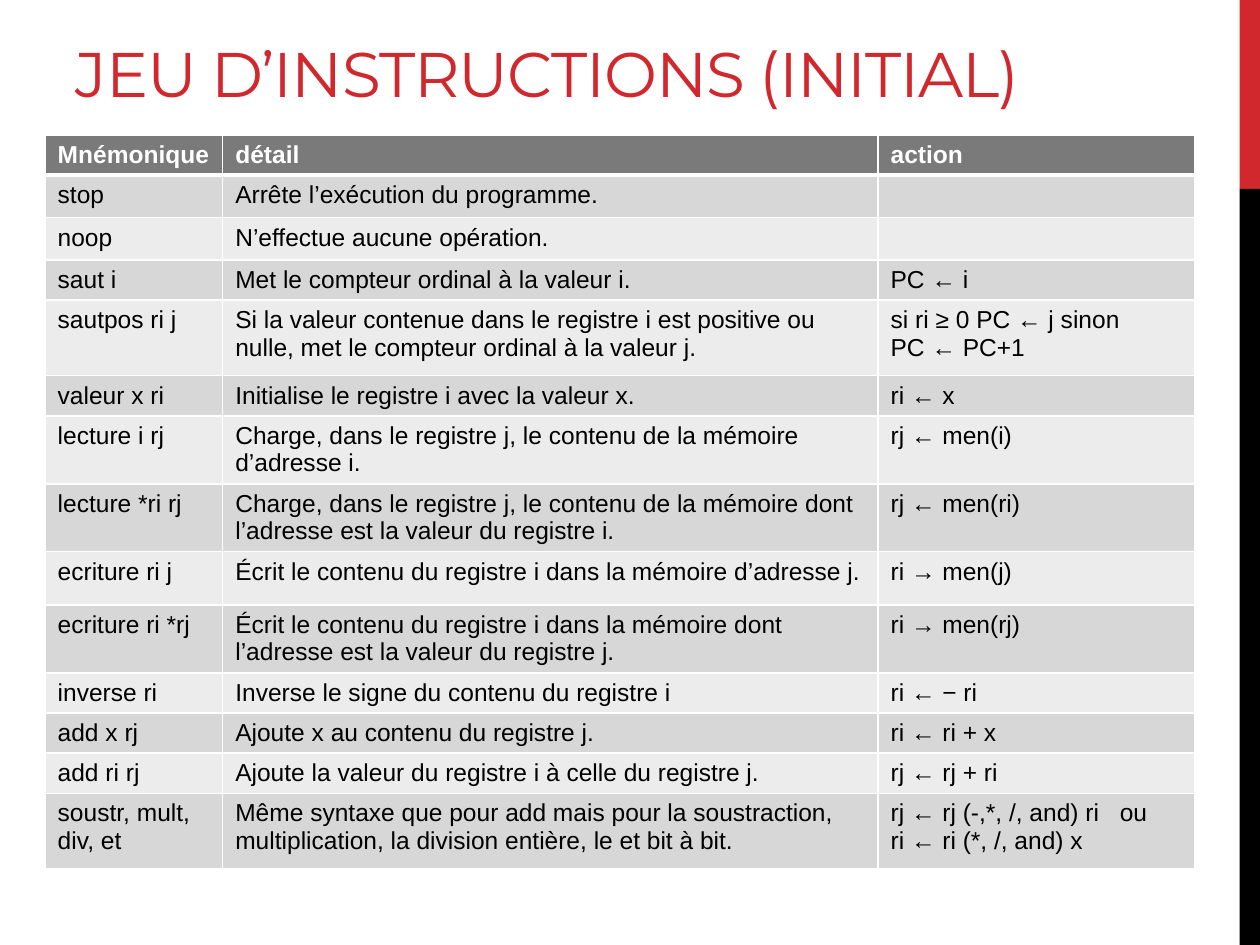
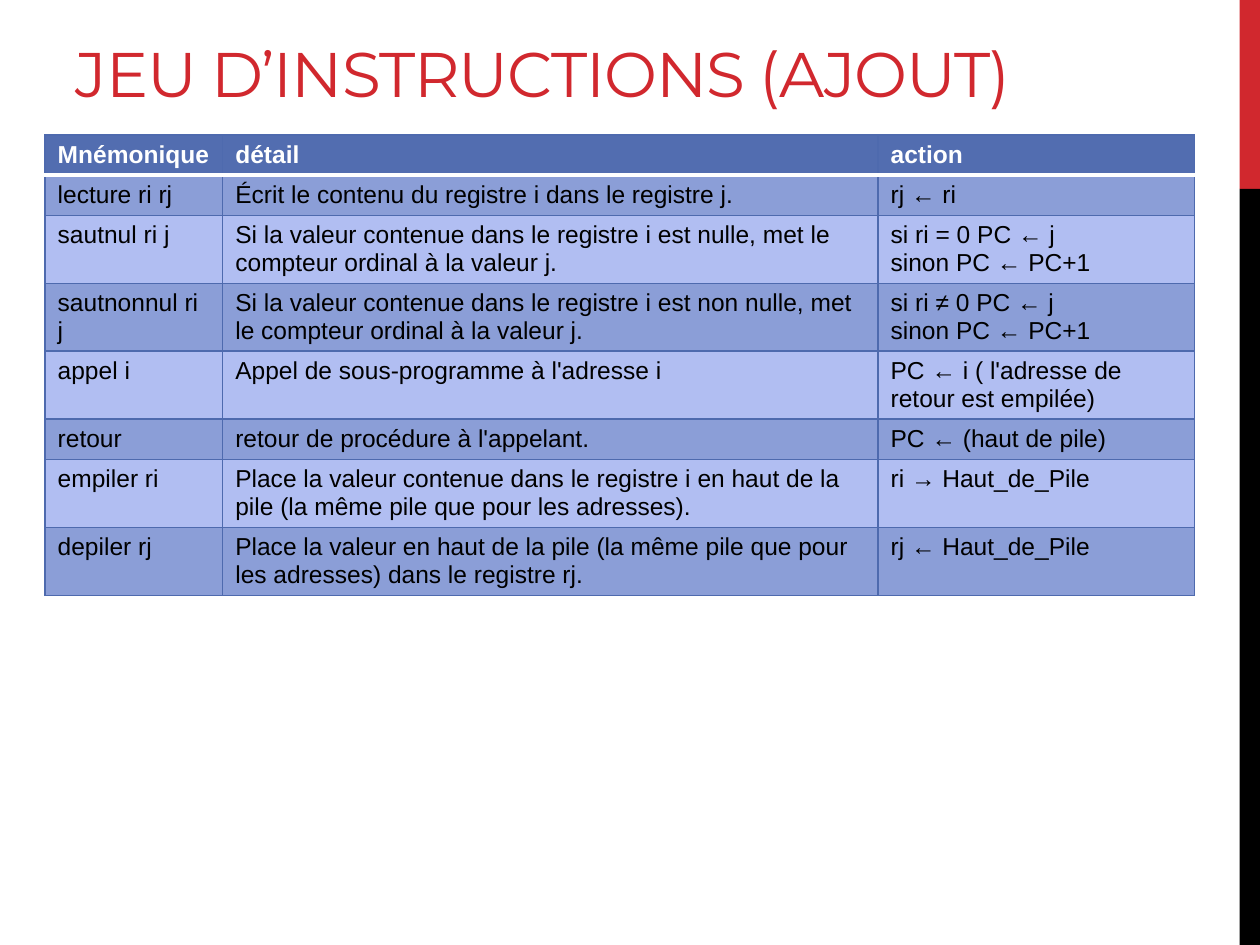
import pptx
import pptx.dml.color
import pptx.enum.shapes
import pptx.enum.text
import pptx.oxml
import pptx.oxml.ns
import pptx.util
from lxml import etree

Cm = pptx.util.Cm
Pt = pptx.util.Pt

HEADINGS = ("Mnémonique", "détail", "action")
ONE_LINE, TALL_LINE, TWO_LINES, TALL_PAIR = 0.81, 1.07, 1.37, 1.52

INITIAL = [
    (ONE_LINE, "stop", "Arrête l’exécution du programme.", ""),
    (ONE_LINE, "noop", "N’effectue aucune opération.", ""),
    (ONE_LINE, "saut i", "Met le compteur ordinal à la valeur i.", "PC ← i"),
    (TALL_PAIR, "sautpos ri j",
     "Si la valeur contenue dans le registre i est positive ou nulle, met le compteur ordinal à la valeur j.",
     "si ri ≥ 0 PC ← j sinon\nPC ← PC+1"),
    (ONE_LINE, "valeur x ri", "Initialise le registre i avec la valeur x.", "ri ← x"),
    (TWO_LINES, "lecture i rj",
     "Charge, dans le registre j, le contenu de la mémoire d’adresse i.", "rj ← men(i)"),
    (TWO_LINES, "lecture *ri rj",
     "Charge, dans le registre j, le contenu de la mémoire dont l’adresse est la valeur du registre i.",
     "rj ← men(ri)"),
    (TALL_LINE, "ecriture ri j",
     "Écrit le contenu du registre i dans la mémoire d’adresse j.", "ri → men(j)"),
    (TWO_LINES, "ecriture ri *rj",
     "Écrit le contenu du registre i dans la mémoire dont l’adresse est la valeur du registre j.",
     "ri → men(rj)"),
    (ONE_LINE, "inverse ri", "Inverse le signe du contenu du registre i", "ri ← − ri"),
    (ONE_LINE, "add x rj", "Ajoute x au contenu du registre j.", "ri ← ri + x"),
    (ONE_LINE, "add ri rj", "Ajoute la valeur du registre i à celle du registre j.", "rj ← rj + ri"),
    (TALL_PAIR, "soustr, mult, div, et",
     "Même syntaxe que pour add mais pour la soustraction, multiplication, la division entière, le et bit à bit.",
     "rj ← rj (-,*, /, and) ri\tou\nri ← ri (*, /, and) x"),
]

ADDED = [
    (ONE_LINE, "lecture ri rj", "Écrit le contenu du registre i dans le registre j.", "rj ← ri"),
    (TWO_LINES, "sautnul ri j",
     "Si la valeur contenue dans le registre i est nulle, met le compteur ordinal à la valeur j.",
     "si ri = 0 PC ← j\nsinon PC ← PC+1"),
    (TWO_LINES, "sautnonnul ri j",
     "Si la valeur contenue dans le registre i est non nulle, met le compteur ordinal à la valeur j.",
     "si ri ≠ 0 PC ← j\nsinon PC ← PC+1"),
    (TWO_LINES, "appel i", "Appel de sous-programme à l'adresse i",
     "PC ← i ( l'adresse de retour est empilée)"),
    (ONE_LINE, "retour", "retour de procédure à l'appelant.", "PC ← (haut de pile)"),
    (TWO_LINES, "empiler ri",
     "Place la valeur contenue dans le registre i en haut de la pile (la même pile que pour les adresses).",
     "ri → Haut_de_Pile"),
    (TWO_LINES, "depiler rj",
     "Place la valeur en haut de la pile (la même pile que pour les adresses) dans le registre rj.",
     "rj ← Haut_de_Pile"),
]

SLIDES = [
    ("JEU D’INSTRUCTIONS (INITIAL)", INITIAL, "grey"),
    ("JEU D’INSTRUCTIONS (AJOUT)", ADDED, "blue"),
]


def color(code):
    return pptx.dml.color.RGBColor.from_string(code)


THEME = {
    "title": {"name": "Montserrat", "size": Pt(36), "bold": False, "color": "D1282E"},
    "heading": {"name": "Arial", "size": Pt(14), "bold": True, "color": "FFFFFF"},
    "body": {"name": "Arial", "size": Pt(14), "bold": False, "color": "000000"},
    "bands": [("D1282E", 0, 3.81), ("000000", 3.81, 15.24)],
    "grey": {"head": "7A7A7A", "rows": ("D7D7D7", "ECECEC"), "line": "FFFFFF", "rule": 3},
    "blue": {"head": "526DB0", "rows": ("8B9ED7", "B1BEF2"), "line": "4E6AAE", "rule": 2.25},
    "rule": "FFFFFF",
}
TITLE_BOX = {"left": Cm(1.27), "top": Cm(0.43), "width": Cm(22.43), "height": Cm(1.91)}
TABLE_LEFT, TABLE_TOP = 0.91, 2.72
COLUMNS = (3.58, 13.21, 6.38)
TAB_STOP = Cm(4.62)


def format_font(font, style):
    for name, value in style.items():
        if name == "color":
            font.color.rgb = color(value)
        else:
            setattr(font, name, value)


def add_bands(slide, layout):
    for fill, top, height in THEME["bands"]:
        band = slide.shapes.add_shape(
            pptx.enum.shapes.MSO_SHAPE.RECTANGLE, Cm(24.99), Cm(top), Cm(0.41), Cm(height))
        band.shadow.inherit = False
        band.fill.solid()
        band.fill.fore_color.rgb = color(fill)
        band.line.fill.background()
        layout.shapes.element.append(band.element)


def add_title(slide, text):
    title = slide.shapes.title
    for name, value in TITLE_BOX.items():
        setattr(title, name, value)
    frame = title.text_frame
    frame.text = text
    frame.word_wrap = True
    frame.auto_size = pptx.enum.text.MSO_AUTO_SIZE.NONE
    frame.vertical_anchor = pptx.enum.text.MSO_ANCHOR.BOTTOM
    paragraph = frame.paragraphs[0]
    paragraph.alignment = pptx.enum.text.PP_ALIGN.LEFT
    run = paragraph.runs[0]
    format_font(run.font, THEME["title"])
    run.font.element.set("spc", "-60") if hasattr(run.font, "element") else run._r.get_or_add_rPr().set("spc", "-60")


def add_border(cell, side, line_color, width):
    properties = cell._tc.get_or_add_tcPr()
    line = etree.SubElement(properties, pptx.oxml.ns.qn("a:ln" + side), w=str(Pt(width)))
    fill = etree.SubElement(line, pptx.oxml.ns.qn("a:solidFill"))
    etree.SubElement(fill, pptx.oxml.ns.qn("a:srgbClr"), val=line_color)


def add_tab_stop(paragraph):
    properties = paragraph._p.get_or_add_pPr()
    stops = etree.SubElement(properties, pptx.oxml.ns.qn("a:tabLst"))
    etree.SubElement(stops, pptx.oxml.ns.qn("a:tab"), pos=str(TAB_STOP), algn="l")


def fill_cell(cell, text, row, palette):
    style = THEME["body" if row else "heading"]
    cell.text_frame.text = text
    for paragraph in cell.text_frame.paragraphs:
        for run in paragraph.runs:
            format_font(run.font, style)
        if not paragraph.runs:
            etree.SubElement(paragraph._p, pptx.oxml.ns.qn("a:endParaRPr"),
                             sz=str(int(style["size"].pt * 100)))
        if "\t" in paragraph.text:
            add_tab_stop(paragraph)
    rule_side = {0: "B", 1: "T"}.get(row)
    for side in "LRTB":
        if side == rule_side:
            add_border(cell, side, THEME["rule"], palette["rule"])
        else:
            add_border(cell, side, palette["line"], 1)
    cell.fill.solid()
    cell.fill.fore_color.rgb = color(palette["rows"][(row - 1) % 2] if row else palette["head"])


def add_instruction_table(slide, instructions, palette):
    rows = [(ONE_LINE, *HEADINGS), *instructions]
    table = slide.shapes.add_table(
        len(rows), len(COLUMNS), Cm(TABLE_LEFT), Cm(TABLE_TOP),
        Cm(sum(COLUMNS)), Cm(sum(row[0] for row in rows))).table
    for column, width in zip(table.columns, COLUMNS):
        column.width = Cm(width)
    for row, (height, *texts) in enumerate(rows):
        table.rows[row].height = Cm(height)
        for column, text in enumerate(texts):
            fill_cell(table.cell(row, column), text, row, palette)


def main():
    presentation = pptx.Presentation()
    presentation.slide_width, presentation.slide_height = Cm(25.4), Cm(19.05)
    layout = presentation.slide_layouts[5]
    for number, (title, instructions, palette) in enumerate(SLIDES):
        slide = presentation.slides.add_slide(layout)
        if number == 0:
            add_bands(slide, layout)
        add_title(slide, title)
        add_instruction_table(slide, instructions, THEME[palette])
    presentation.save("out.pptx")


if __name__ == "__main__":
    main()
